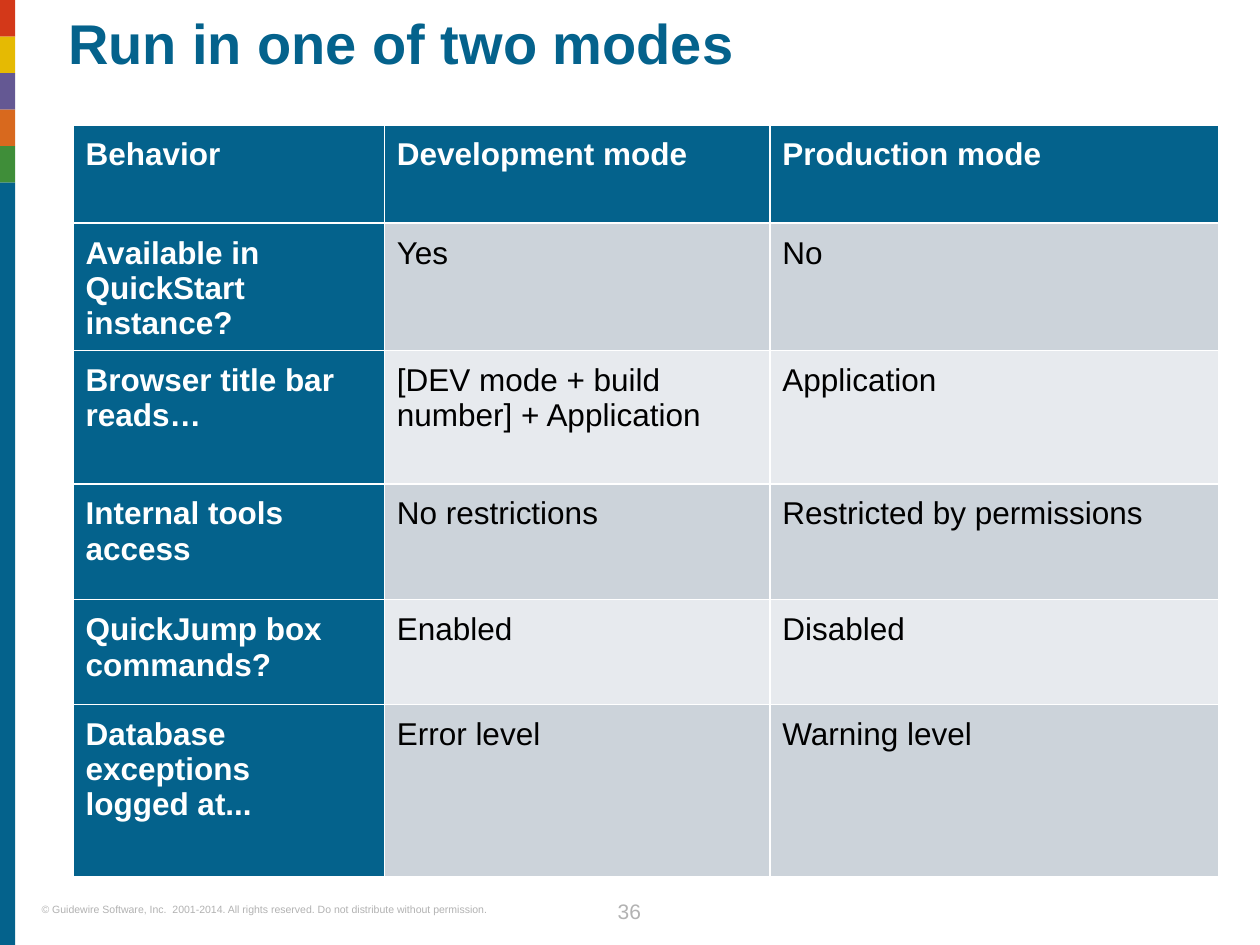
from lxml import etree
from pptx import Presentation
from pptx.dml.color import RGBColor
from pptx.enum import shapes, text
from pptx.oxml import ns
from pptx.util import Inches, Pt

COLORS = {
    "blue": "04628C", "green": "3F8E39", "orange": "D8691E", "purple": "645893",
    "yellow": "E5BA03", "red": "D33819", "white": "FFFFFF", "black": "000000",
    "gray": "B2B2B2", "band_dark": "CCD3DA", "band_light": "E7EAEE",
}
WIDTH, HEIGHT = 10, 7.5


def style(para, size, color, bold=False):
    for span in para.runs:
        span.font.name = "Arial"
        span.font.size = Pt(size)
        span.font.bold = bold
        span.font.color.rgb = RGBColor.from_string(COLORS[color])


def add_text(page, place, words, size, color, bold=False):
    box = page.shapes.add_textbox(*[Inches(length) for length in place])
    frame = box.text_frame
    frame.word_wrap = True
    frame.vertical_anchor = text.MSO_ANCHOR.TOP
    frame.margin_left = frame.margin_right = frame.margin_top = frame.margin_bottom = 0
    frame.text = words
    style(frame.paragraphs[0], size, color, bold)
    return frame.paragraphs[0]


deck = Presentation()
deck.slide_width, deck.slide_height = Inches(WIDTH), Inches(HEIGHT)
page = deck.slides.add_slide(deck.slide_layouts[6])

# Colour strip: five equal blocks, then blue down to the bottom edge
STRIP_WIDTH, BLOCK = 0.12, 0.29
strip = ["red", "yellow", "purple", "orange", "green", "blue"]
for index, color in enumerate(strip):
    top = index * BLOCK
    height = HEIGHT - top if color == "blue" else BLOCK
    block = page.shapes.add_shape(shapes.MSO_SHAPE.RECTANGLE, 0, Inches(top),
                                  Inches(STRIP_WIDTH), Inches(height))
    block.shadow.inherit = False
    block.fill.solid()
    block.fill.fore_color.rgb = RGBColor.from_string(COLORS[color])
    block.line.fill.background()

# Footer and page number
add_text(page, (0.33, 7.17, 4.02, 0.1),
         "© Guidewire Software, Inc.  2001-2014. All rights reserved. "
         "Do not distribute without permission.", 6, "gray")
number = add_text(page, (4.71, 7.08, 0.57, 0.25), "36", 12, "gray")
number.alignment = text.PP_ALIGN.CENTER
number.line_spacing = Pt(18)

# Title
title = add_text(page, (0.54, 0.13, 9.1, 0.81), "Run in one of two modes", 32, "blue", True)
title.line_spacing = 0.9

# Table of modes
rows = [
    ("Behavior", "Development mode", "Production mode"),
    ("Available in\nQuickStart instance?", "Yes", "No"),
    ("Browser title bar reads…", "[DEV mode + build number] + Application", "Application"),
    ("Internal tools access", "No restrictions", "Restricted by permissions"),
    ("QuickJump box commands?", "Enabled", "Disabled"),
    ("Database exceptions\nlogged at...", "Error level", "Warning level"),
]
column_widths = [2.47, 3.06, 3.56]
row_heights = [0.78, 1.01, 1.06, 0.92, 0.83, 1.37]
table = page.shapes.add_table(len(rows), len(column_widths), Inches(0.58), Inches(0.99),
                              Inches(sum(column_widths)), Inches(sum(row_heights))).table
table.first_col = True
for column, width in zip(table.columns, column_widths):
    column.width = Inches(width)
for row, height in zip(table.rows, row_heights):
    row.height = Inches(height)

for r, labels in enumerate(rows):
    for c, label in enumerate(labels):
        cell = table.cell(r, c)
        heading = r == 0 or c == 0
        cell.margin_left = cell.margin_top = Inches(0.1)
        cell.margin_right = cell.margin_bottom = 0
        para = cell.text_frame.paragraphs[0]
        para.text = label
        style(para, 18, "white" if heading else "black", heading)

        # White rules on all sides go ahead of the fill in the cell properties
        properties = cell._tc.get_or_add_tcPr()
        for side in ("a:lnL", "a:lnR", "a:lnT", "a:lnB"):
            rule = etree.SubElement(properties, ns.qn(side), w=str(Pt(1)))
            paint = etree.SubElement(rule, ns.qn("a:solidFill"))
            etree.SubElement(paint, ns.qn("a:srgbClr"), val=COLORS["white"])
        band = "band_dark" if r % 2 else "band_light"
        cell.fill.solid()
        cell.fill.fore_color.rgb = RGBColor.from_string(COLORS["blue" if heading else band])

deck.save("out.pptx")
